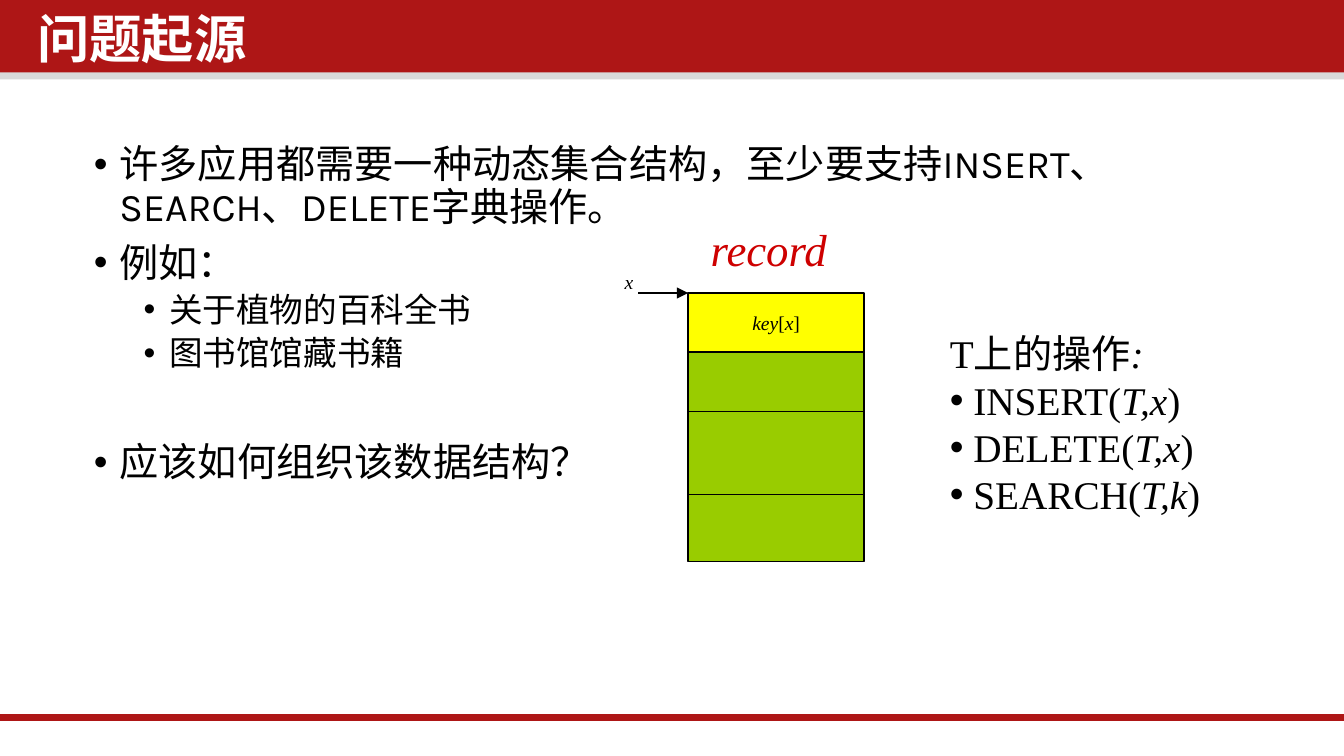
from lxml import etree
from pptx import Presentation
from pptx import util as u
from pptx.dml.color import RGBColor
from pptx.enum import shapes, text
from pptx.oxml.ns import qn

RED, GREY, WHITE, BLACK = "AE1616", "D9D9D9", "FFFFFF", "000000"
YELLOW, GREEN, RECORD_RED = "FFFF00", "99CC00", "CE0000"
HEADING_FONT, BODY_FONT, SERIF = "Noto Sans CJK SC", "Karla", "Times New Roman"


def color(value):
    return RGBColor.from_string(value)


class SlideBuilder:
    def __init__(self, slide):
        self.slide = slide

    def style_run(self, run, size, font, fill=BLACK, bold=False, italic=False):
        run.font.size = u.Pt(size)
        run.font.bold = bold
        run.font.italic = italic
        run.font.color.rgb = color(fill)
        run.font.name = font
        east_asian = etree.SubElement(run.font._element, qn("a:ea"))
        east_asian.set("typeface", HEADING_FONT)

    def runs(self, paragraph, parts, size, font, fill=BLACK):
        """Each part is a pair: wording, italic."""
        for wording, italic in parts:
            run = paragraph.add_run()
            run.text = wording
            self.style_run(run, size, font, fill, italic=italic)

    def bullet(self, paragraph, margin=0, indent=0):
        properties = paragraph._p.get_or_add_pPr()
        properties.set("marL", str(u.Inches(margin)))
        properties.set("indent", str(u.Inches(indent)))
        etree.SubElement(properties, qn("a:buFont")).set("typeface", "Arial")
        etree.SubElement(properties, qn("a:buChar")).set("char", "•")

    def title(self, wording, left, top, width, height):
        title = self.slide.shapes.title
        title.left, title.top = u.Inches(left), u.Inches(top)
        title.width, title.height = u.Inches(width), u.Inches(height)
        frame = title.text_frame
        frame.text = wording
        frame.auto_size = text.MSO_AUTO_SIZE.NONE
        frame.vertical_anchor = text.MSO_ANCHOR.TOP
        frame.margin_left = frame.margin_right = u.Inches(0.07)
        frame.margin_top = frame.margin_bottom = u.Inches(0.04)
        paragraph = frame.paragraphs[0]
        paragraph.alignment = text.PP_ALIGN.LEFT
        paragraph.line_spacing = 0.9
        self.style_run(paragraph.runs[0], 28, HEADING_FONT, WHITE, bold=True)

    def rectangle(self, left, top, width, height, fill, outline=None):
        shape = self.slide.shapes.add_shape(
            shapes.MSO_SHAPE.RECTANGLE, u.Inches(left), u.Inches(top),
            u.Inches(width), u.Inches(height))
        shape.shadow.inherit = False
        shape.fill.solid()
        shape.fill.fore_color.rgb = color(fill)
        if outline:
            shape.line.color.rgb = color(outline)
            shape.line.width = u.Pt(0.75)
        else:
            shape.line.fill.background()
        return shape

    def line(self, left, right, y, stroke=BLACK, width=0.75, arrow=False):
        connector = self.slide.shapes.add_connector(
            shapes.MSO_CONNECTOR.STRAIGHT, u.Inches(left), u.Inches(y),
            u.Inches(right), u.Inches(y))
        connector.line.color.rgb = color(stroke)
        connector.line.width = u.Pt(width)
        if arrow:
            line_element = connector.line._get_or_add_ln()
            etree.SubElement(line_element, qn("a:tailEnd")).set("type", "triangle")
        etree.SubElement(connector._element.spPr, qn("a:effectLst"))

    def text_box(self, left, top, width, height, wrap=True):
        box = self.slide.shapes.add_textbox(
            u.Inches(left), u.Inches(top), u.Inches(width), u.Inches(height))
        box.text_frame.word_wrap = wrap
        return box.text_frame

    def label(self, wording, left, top, width, height, size, fill=BLACK):
        frame = self.text_box(left, top, width, height, wrap=False)
        frame.auto_size = text.MSO_AUTO_SIZE.SHAPE_TO_FIT_TEXT
        self.runs(frame.paragraphs[0], [(wording, True)], size, SERIF, fill)

    def outline_list(self, items, left, top, width, height):
        """Each item is a triple: level, space before, wording."""
        frame = self.text_box(left, top, width, height)
        for index, (level, space, wording) in enumerate(items):
            paragraph = frame.add_paragraph() if index else frame.paragraphs[0]
            paragraph.level = level
            self.bullet(paragraph, (0.19, 0.56)[level], -0.19)
            paragraph.line_spacing = 0.9
            paragraph.space_before = u.Pt(space)
            self.runs(paragraph, [(wording, False)], (21, 18)[level], BODY_FONT)

    def operations(self, heading, items, left, top, width, height):
        """Each item is a pair: operation name, arguments."""
        frame = self.text_box(left, top, width, height)
        frame.auto_size = text.MSO_AUTO_SIZE.SHAPE_TO_FIT_TEXT
        self.runs(frame.paragraphs[0], [(heading, False), (":", True)], 21, SERIF)
        for name, arguments in items:
            paragraph = frame.add_paragraph()
            self.bullet(paragraph)
            parts = [(f" {name}(", False), (arguments, True), (")", False)]
            self.runs(paragraph, parts, 21, SERIF)


def main():
    # Widescreen slide, 16:9
    presentation = Presentation()
    presentation.slide_width = u.Inches(10)
    presentation.slide_height = u.Inches(10 * 9 / 16)
    slide = presentation.slides.add_slide(presentation.slide_layouts[5])
    builder = SlideBuilder(slide)

    # Header band behind the title, footer rule and title
    bands = [builder.rectangle(0, 0.5, 10, 0.09, GREY),
             builder.rectangle(0, 0, 10, 0.54, RED)]
    for position, band in enumerate(bands):
        slide.shapes._spTree.insert(2 + position, band._element)
    builder.line(-0.02, 10, 5.34, RED, 4)
    builder.title("问题起源", 0.21, 0.06, 7.64, 0.59)

    # Main points
    builder.outline_list([
        (0, 0, "许多应用都需要一种动态集合结构，至少要支持INSERT、SEARCH、DELETE字典操作。"),
        (0, 7.5, "例如："),
        (1, 3.8, "关于植物的百科全书"),
        (1, 3.8, "图书馆馆藏书籍"),
        (0, 37.5, "应该如何组织该数据结构？"),
    ], 0.6, 1.03, 8.62, 3.57)

    # Record diagram: key cell above the data fields
    left, top, width, key_height = 5.12, 2.18, 1.31, 0.44
    builder.label("record", 5.19, 1.6, 1.07, 0.5, 24, RECORD_RED)
    key_cell = builder.rectangle(left, top, width, key_height, YELLOW, BLACK)
    frame = key_cell.text_frame
    frame.word_wrap = False
    frame.vertical_anchor = text.MSO_ANCHOR.MIDDLE
    frame.paragraphs[0].alignment = text.PP_ALIGN.CENTER
    builder.runs(frame.paragraphs[0],
                 [("key", True), ("[", False), ("x", True), ("]", False)],
                 10.5, SERIF)
    builder.rectangle(left, top + key_height, width, 1.56, GREEN, BLACK)
    for divider in (3.06, 3.68):
        builder.line(left, left + width, divider)

    # Pointer to the record
    builder.line(4.75, left, top, arrow=True)
    builder.label("x", 4.55, 1.96, 0.27, 0.28, 10.5)

    # Operations on the set
    builder.operations("T上的操作", [
        ("INSERT", "T,x"), ("DELETE", "T,x"), ("SEARCH", "T,k"),
    ], 6.97, 2.4, 2.14, 1.51)

    presentation.save("out.pptx")


if __name__ == "__main__":
    main()
